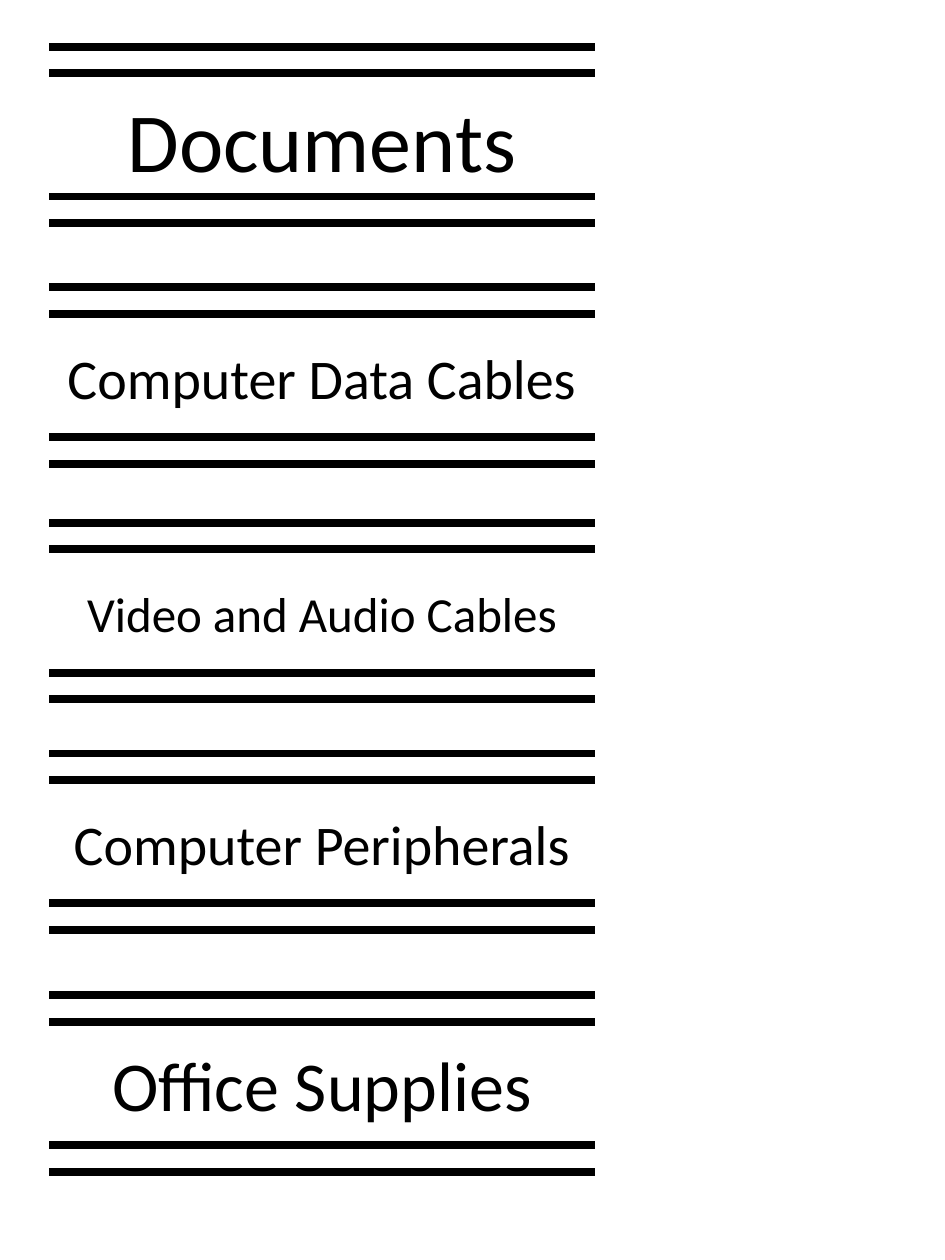
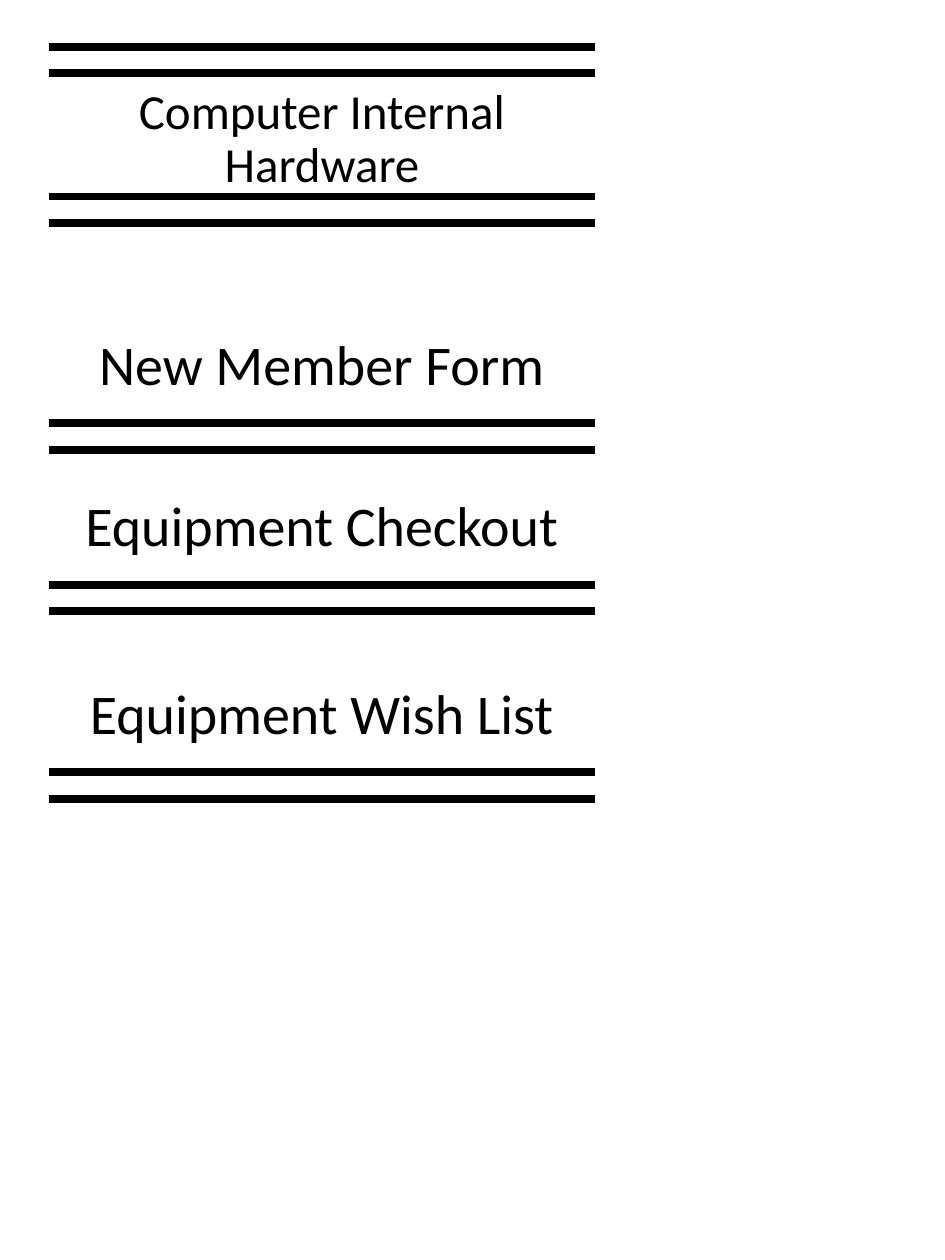
"""Build two pages of drawer labels framed by double rules."""
import pptx
import pptx.dml.color
import pptx.enum.shapes
import pptx.enum.text
import pptx.oxml
import pptx.util

Inches = pptx.util.Inches
Pt = pptx.util.Pt
Anchor = pptx.enum.text.MSO_ANCHOR

BLACK = pptx.dml.color.RGBColor(0x00, 0x00, 0x00)
WHITE = pptx.dml.color.RGBColor(0xFF, 0xFF, 0xFF)

LEFT, SEAM, RIGHT = 0.39, 3.49, 4.72
TEXT_HEIGHT = 0.75
UPPER_RULES = (-0.16, -0.37)
LOWER_RULES = (1.03, 0.82)

PAGES = [
    [
        ("Documents", 0.74, 48, True, Anchor.TOP),
        ("Computer Data Cables", 2.65, 32, True, Anchor.MIDDLE),
        ("Video and Audio Cables", 4.52, 28, True, Anchor.MIDDLE),
        ("Computer Peripherals", 6.35, 32, True, Anchor.MIDDLE),
        ("Office Supplies", 8.27, 40, True, Anchor.MIDDLE),
    ],
    [
        ("Computer Internal Hardware", 0.74, 28, True, Anchor.MIDDLE),
        ("New Member Form", 2.54, 32, False, Anchor.MIDDLE),
        ("Equipment Checkout", 3.82, 32, False, Anchor.MIDDLE),
        ("Equipment Wish List", 5.31, 32, False, Anchor.MIDDLE),
    ],
]


class LabelSheet:
    """Holds the label style and the current page."""

    font = "Calibri"
    rule_width = Pt(4.5)

    def __init__(self):
        self.deck = pptx.Presentation()
        self.deck.slide_width = Inches(7.5)
        self.deck.slide_height = Inches(10)
        self.page = None

    def add_page(self):
        self.page = self.deck.slides.add_slide(self.deck.slide_layouts[6])
        self.page.background.fill.solid()
        self.page.background.fill.fore_color.rgb = WHITE

    def add_rules(self, shapes, start, end, top, offsets):
        for offset in offsets:
            height = Inches(top + offset)
            rule = shapes.add_connector(
                pptx.enum.shapes.MSO_CONNECTOR.STRAIGHT,
                Inches(start), height, Inches(end), height)
            rule.line.color.rgb = BLACK
            rule.line.width = self.rule_width
            properties = rule._element.spPr
            properties.append(pptx.oxml.parse_xml(
                '<a:effectLst xmlns:a='
                '"http://schemas.openxmlformats.org/drawingml/2006/main"/>'))

    def add_caption(self, shapes, text, top, size, anchor):
        box = shapes.add_textbox(Inches(LEFT), Inches(top),
                                 Inches(RIGHT - LEFT), Inches(TEXT_HEIGHT))
        frame = box.text_frame
        frame.word_wrap = True
        frame.vertical_anchor = anchor
        para = frame.paragraphs[0]
        para.alignment = pptx.enum.text.PP_ALIGN.CENTER
        para.line_spacing = 0.9
        para.space_before = Pt(7.5)
        span = para.add_run()
        span.text = text
        span.font.name = self.font
        span.font.size = Pt(size)
        span.font.color.rgb = BLACK

    def add_label(self, text, top, size, has_upper_rules, anchor):
        shapes = self.page.shapes.add_group_shape().shapes
        if has_upper_rules:
            self.add_rules(shapes, LEFT, SEAM, top, UPPER_RULES)
        self.add_caption(shapes, text, top, size, anchor)
        if has_upper_rules:
            self.add_rules(shapes, SEAM, RIGHT, top, UPPER_RULES)
        self.add_rules(shapes, LEFT, RIGHT, top, LOWER_RULES)


def main():
    sheet = LabelSheet()
    for labels in PAGES:
        sheet.add_page()
        for label in labels:
            sheet.add_label(*label)
    sheet.deck.save("out.pptx")


if __name__ == "__main__":
    main()
